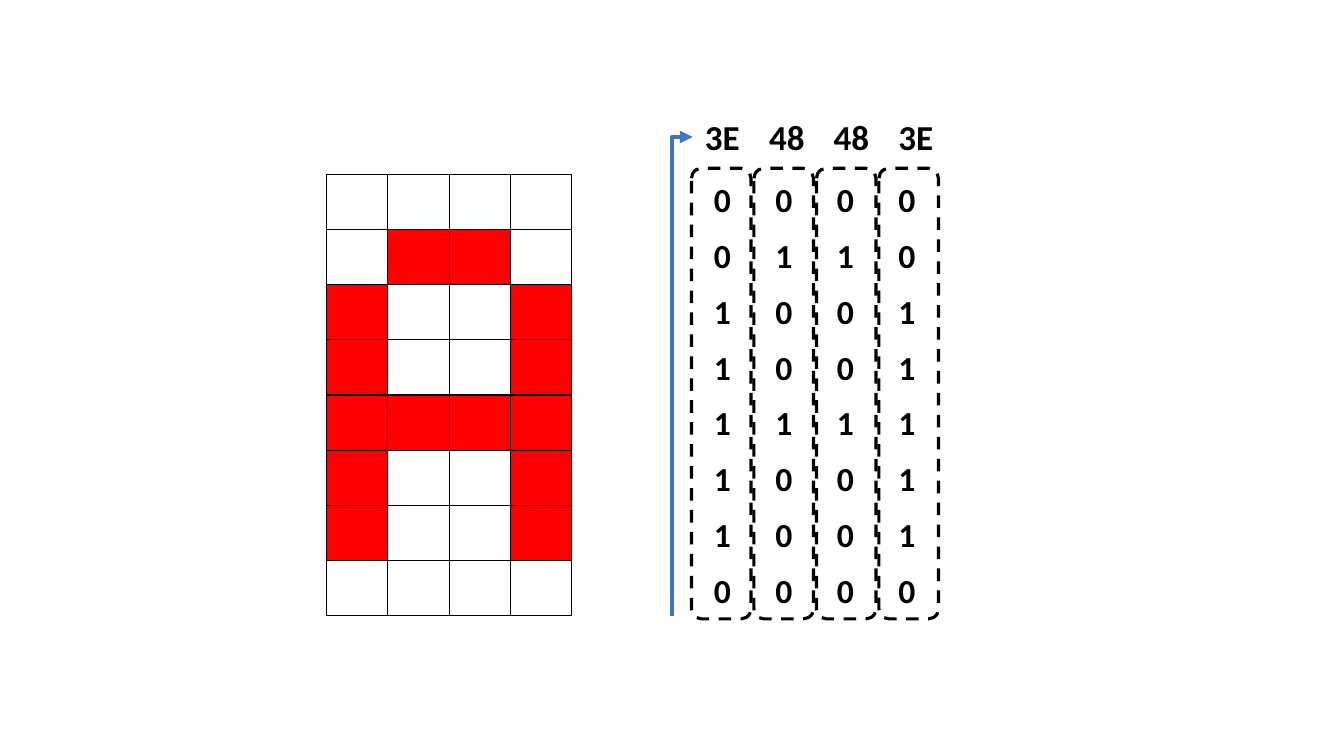
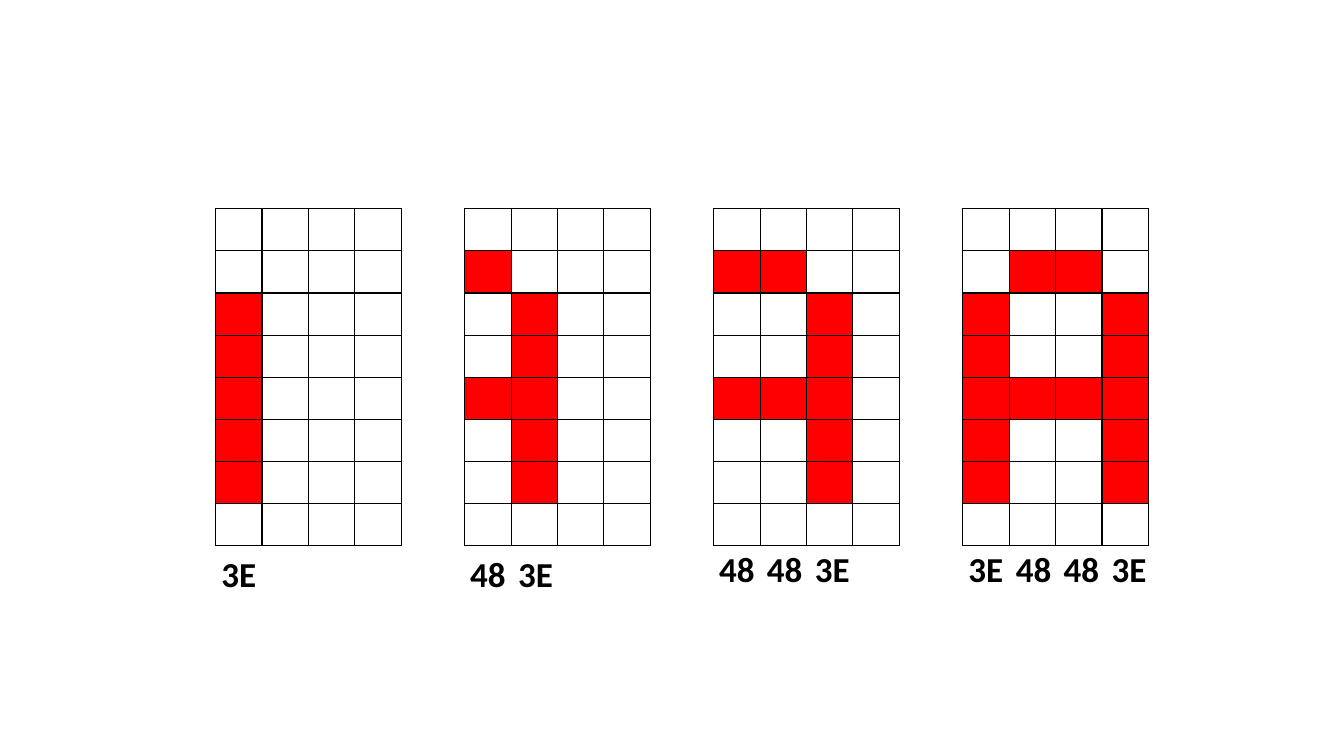
import lxml.etree
import pptx
import pptx.dml.color
import pptx.enum.dml
import pptx.enum.shapes
import pptx.enum.text
import pptx.oxml.ns
import pptx.util

COLORS = {"lit": "FF0000", "ink": "000000", "arrow": "4472C4"}
LETTER = ["3E", "48", "48", "3E"]
qn = pptx.oxml.ns.qn


def rgb(name):
    """Return the named colour."""
    return pptx.dml.color.RGBColor.from_string(COLORS[name])


def bits(code):
    """Return the eight binary digits of a hex byte, top pixel first."""
    return f"{int(code, 16):08b}"


def set_all(target, values):
    """Set each attribute of target from a dict."""
    for name, value in values.items():
        setattr(target, name, value)


class Deck:
    """Shared style and current slide; lengths are percent of slide size."""

    FONT = {"name": "Calibri", "bold": True}
    FRAME = {"text_wrapped": True}
    BORDER = pptx.util.Pt(1)

    def __init__(self):
        """Start a wide presentation."""
        self.show = pptx.Presentation()
        set_all(self.show, {"slide_width": pptx.util.Inches(13.33),
                            "slide_height": pptx.util.Inches(7.5)})
        self.slide = None

    def new_slide(self):
        """Add a blank slide and make it current."""
        self.slide = self.show.slides.add_slide(self.show.slide_layouts[6])

    def x(self, share):
        """Turn a percent of the width into a length."""
        return round(self.show.slide_width * share / 100)

    def y(self, share):
        """Turn a percent of the height into a length."""
        return round(self.show.slide_height * share / 100)

    def box(self, left, top, width, height):
        """Turn four percentages into a position and size."""
        return self.x(left), self.y(top), self.x(width), self.y(height)

    def text(self, lines, area, size, gap=0):
        """Write centred bold lines, one paragraph each."""
        frame = self.slide.shapes.add_textbox(*self.box(*area)).text_frame
        set_all(frame, {"word_wrap": True, "text": "\n".join(lines),
                        "auto_size": pptx.enum.text.MSO_AUTO_SIZE.SHAPE_TO_FIT_TEXT})
        for paragraph in frame.paragraphs:
            set_all(paragraph, {"alignment": pptx.enum.text.PP_ALIGN.CENTER,
                                "space_after": pptx.util.Pt(gap)})
            for run in paragraph.runs:
                set_all(run.font, {**self.FONT, "size": pptx.util.Pt(size)})
                run.font.color.rgb = rgb("ink")

    def label(self, code, left, top):
        """Write the hex code of one column."""
        self.text([code], (left, top, 4.43, 6.93), 25)

    def dashed_frame(self, *area):
        """Draw a rounded dashed outline."""
        outline = self.slide.shapes.add_shape(
            pptx.enum.shapes.MSO_SHAPE.ROUNDED_RECTANGLE, *self.box(*area))
        outline.shadow.inherit = False
        outline.fill.background()
        outline.line.color.rgb = rgb("ink")
        set_all(outline.line, {"width": pptx.util.Pt(2.25),
                               "dash_style": pptx.enum.dml.MSO_LINE.DASH})

    def up_and_right_arrow(self, left, bottom, right, top):
        """Draw an arrow that rises, then turns right."""
        left, right, bottom, top = self.x(left), self.x(right), self.y(bottom), self.y(top)
        middle_x, middle_y = (left + right) // 2, (top + bottom) // 2
        half_rise, half_run = (bottom - top) // 2, (right - left) // 2
        # The bend preset lies flat, so it is mirrored and turned a quarter.
        arrow = self.slide.shapes.add_connector(
            pptx.enum.shapes.MSO_CONNECTOR.ELBOW,
            middle_x + half_rise, middle_y + half_run,
            middle_x - half_rise, middle_y - half_run)
        arrow.line.color.rgb = rgb("arrow")
        arrow.line.width = pptx.util.Pt(3)
        properties = arrow.element.spPr
        properties.find(qn("a:xfrm")).set("rot", "5400000")
        properties.find(qn("a:prstGeom")).set("prst", "bentConnector2")
        lxml.etree.SubElement(properties.find(qn("a:ln")), qn("a:tailEnd"), type="triangle")
        lxml.etree.SubElement(properties, qn("a:effectLst"))

    def border(self, cell):
        """Give a cell thin lines on all four sides."""
        properties = cell._tc.get_or_add_tcPr()
        for side in ("a:lnL", "a:lnR", "a:lnT", "a:lnB"):
            line = lxml.etree.SubElement(properties, qn(side), w=str(self.BORDER))
            fill = lxml.etree.SubElement(line, qn("a:solidFill"))
            lxml.etree.SubElement(fill, qn("a:srgbClr"), val=COLORS["ink"])

    def pixels(self, codes, left, top, column, row):
        """Draw a grid of 4 by 8 pixels, lit by one hex code per column."""
        columns = [bits(code) for code in codes]
        columns += [bits("00")] * (len(LETTER) - len(codes))
        grid = self.slide.shapes.add_table(
            8, len(columns), *self.box(left, top, column * len(columns), row * 8)).table
        set_all(grid, {"first_row": False, "horz_banding": False})
        for across, digits in enumerate(columns):
            for down, digit in enumerate(digits):
                cell = grid.cell(down, across)
                set_all(cell, {"margin_top": 0, "margin_bottom": 0})
                self.border(cell)
                if digit == "1":
                    cell.fill.solid()
                    cell.fill.fore_color.rgb = rgb("lit")
                else:
                    cell.fill.background()


def encoding_slide(deck):
    """Show the letter beside its columns as bits and hex codes."""
    deck.new_slide()
    deck.pixels(LETTER, 24.3, 23.07, 4.56, 7.3)
    for index, code in enumerate(LETTER):
        deck.label(code, 51.53 + 4.8 * index, 14.67)
        deck.text(bits(code), (51.45 + 4.58 * index, 23.07, 4.58, 58.8), 24, 11)
        deck.dashed_frame(51.45 + 4.65 * index, 22.27, 4.43, 59.6)
    deck.up_and_right_arrow(50.03, 81.47, 51.53, 18.13)


def scrolling_slide(deck):
    """Show the letter entering one column at a time."""
    deck.new_slide()
    for stage in range(len(LETTER)):
        codes = LETTER[-stage - 1:]
        left = 16.05 + 18.53 * stage
        deck.pixels(codes, left, 27.6, 3.45, 5.58)
        label_top = 72.4 if stage < 2 else 71.73
        for index, code in enumerate(codes):
            deck.label(code, left - 0.5 + 3.55 * index, label_top)


deck = Deck()
encoding_slide(deck)
scrolling_slide(deck)
deck.show.save("out.pptx")
